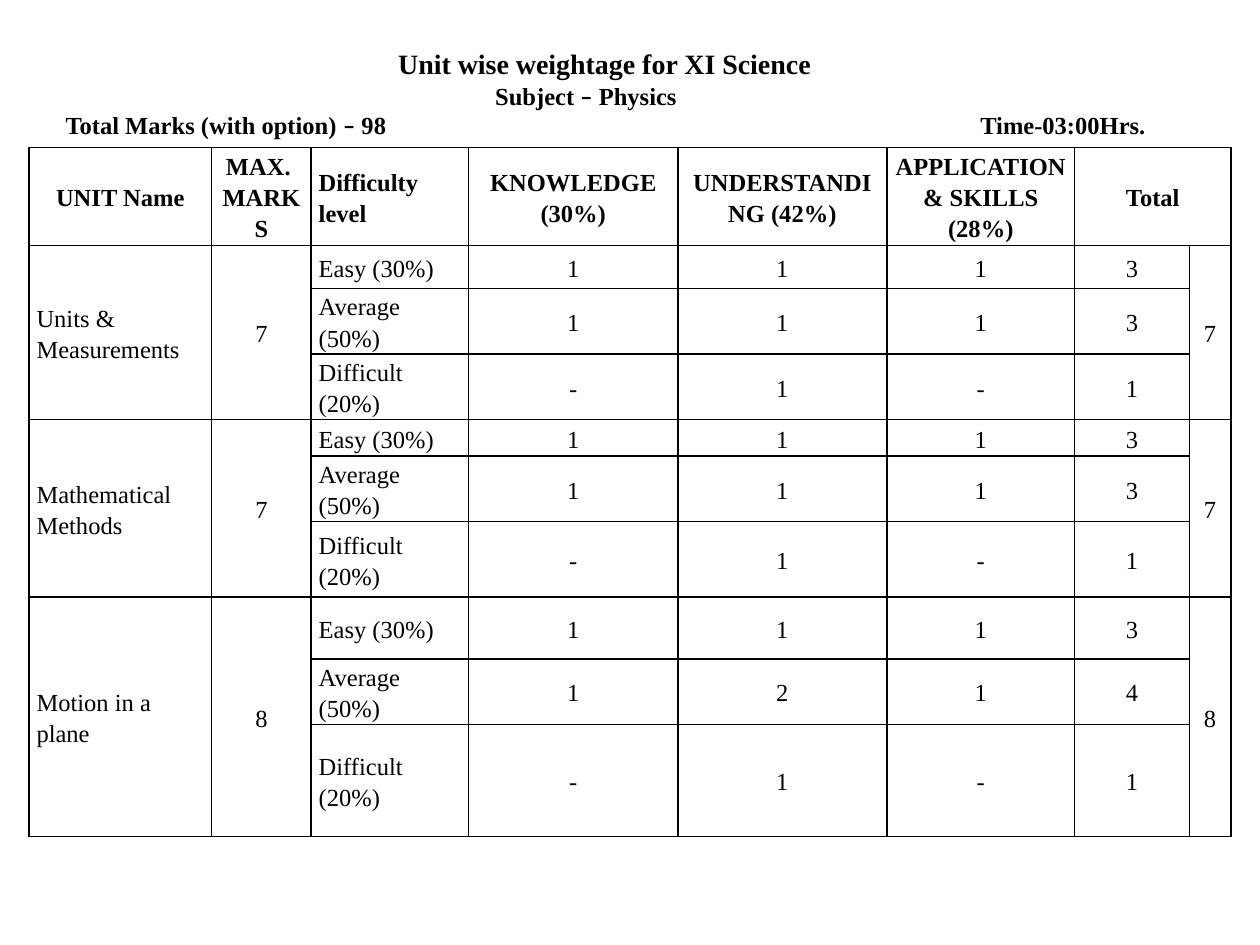
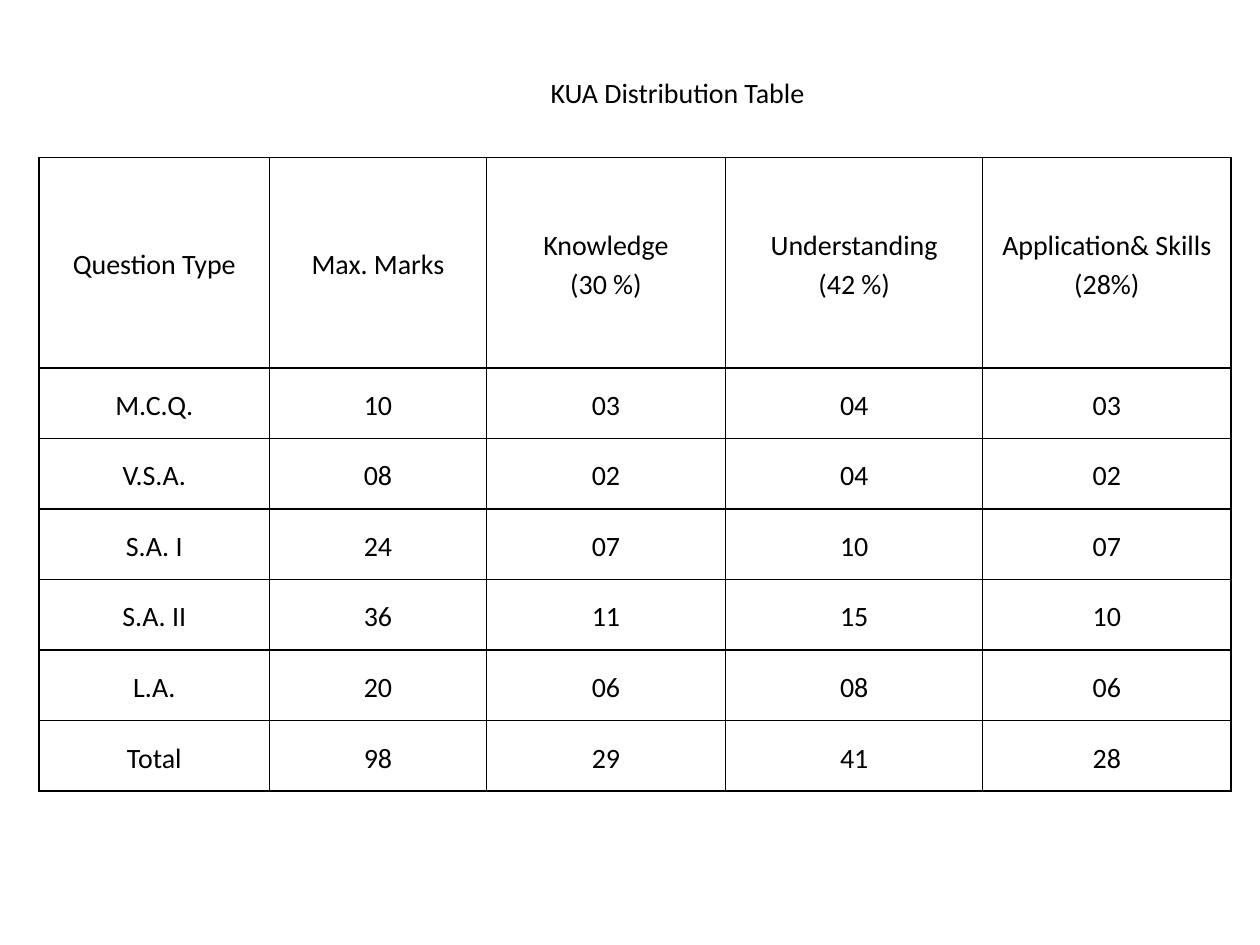
from dataclasses import dataclass
from typing import NamedTuple

from lxml import etree
from pptx import Presentation
from pptx.dml.color import RGBColor
from pptx.enum.text import MSO_ANCHOR, MSO_AUTO_SIZE, PP_ALIGN
from pptx.oxml.ns import qn
from pptx.util import Inches, Pt


@dataclass(frozen=True)
class Theme:
    ink: RGBColor = RGBColor(0, 0, 0)
    ink_hex: str = "000000"
    serif: str = "Times New Roman"
    sans: str = "Calibri"
    small: int = 14
    large: int = 16
    line_spacing: float = 1.15
    border: float = 1


THEME = Theme()


class Span(NamedTuple):
    text: str
    font: str
    size: int
    bold: bool = False


class HeadingLine(NamedTuple):
    spans: list[Span]
    tabs: list[float]  # text starts, in inches from the inner left edge


class Box(NamedTuple):
    left: float
    top: float
    width: float
    height: float


@dataclass
class Grid:
    """A bordered table; merges are (first row, first column, last row, last column)."""
    left: float
    top: float
    columns: list[float]
    rows: list[float]
    cells: list[list[str]]
    font: str
    size: int
    side_margin: float
    bold_header: bool = False
    left_columns: tuple[int, ...] = ()
    merges: tuple[tuple[int, int, int, int], ...] = ()


def add_span(paragraph, span: Span) -> None:
    run = paragraph.add_run()
    run.text = span.text
    run.font.name = span.font
    run.font.size = Pt(span.size)
    run.font.bold = span.bold
    run.font.color.rgb = THEME.ink


def set_tabs(paragraph, tabs: list[float]) -> None:
    tab_list = etree.SubElement(paragraph._p.get_or_add_pPr(), qn("a:tabLst"))
    for position in tabs:
        etree.SubElement(tab_list, qn("a:tab"), pos=str(Inches(position)), algn="l")


def set_heading(slide, box: Box, bottom_margin: float, lines: list[HeadingLine]) -> None:
    title = slide.shapes.title
    title.left, title.top, title.width, title.height = map(Inches, box)
    frame = title.text_frame
    frame.word_wrap = True
    frame.auto_size = MSO_AUTO_SIZE.NONE
    frame.vertical_anchor = MSO_ANCHOR.MIDDLE
    frame.margin_left = frame.margin_right = Inches(0.1)
    frame.margin_top, frame.margin_bottom = Inches(0.05), Inches(bottom_margin)
    for index, line in enumerate(lines):
        paragraph = frame.paragraphs[0] if index == 0 else frame.add_paragraph()
        paragraph.alignment = PP_ALIGN.LEFT
        set_tabs(paragraph, line.tabs)
        for span in line.spans:
            add_span(paragraph, span)


def set_borders(cell) -> None:
    properties = cell._tc.get_or_add_tcPr()
    for index, side in enumerate(("lnL", "lnR", "lnT", "lnB")):
        line = etree.Element(qn(f"a:{side}"), w=str(Pt(THEME.border)))
        fill = etree.SubElement(line, qn("a:solidFill"))
        etree.SubElement(fill, qn("a:srgbClr"), val=THEME.ink_hex)
        properties.insert(index, line)


def add_grid(slide, grid: Grid) -> None:
    table = slide.shapes.add_table(
        len(grid.rows), len(grid.columns), Inches(grid.left), Inches(grid.top),
        Inches(sum(grid.columns)), Inches(sum(grid.rows))).table
    table.first_row = table.horz_banding = False
    for column, width in zip(table.columns, grid.columns):
        column.width = Inches(width)
    for row, height in zip(table.rows, grid.rows):
        row.height = Inches(height)

    for r, texts in enumerate(grid.cells):
        for c, text in enumerate(texts):
            cell = table.cell(r, c)
            cell.fill.background()
            set_borders(cell)
            cell.vertical_anchor = MSO_ANCHOR.MIDDLE
            cell.margin_left = cell.margin_right = Inches(grid.side_margin)
            cell.margin_top = cell.margin_bottom = 0
            if not text:
                continue
            for index, part in enumerate(text.split("\n")):
                frame = cell.text_frame
                paragraph = frame.paragraphs[0] if index == 0 else frame.add_paragraph()
                paragraph.alignment = PP_ALIGN.LEFT if c in grid.left_columns else PP_ALIGN.CENTER
                paragraph.line_spacing = THEME.line_spacing
                add_span(paragraph, Span(part, grid.font, grid.size, grid.bold_header and r == 0))

    for top, left, bottom, right in grid.merges:
        table.cell(top, left).merge(table.cell(bottom, right))


class Unit(NamedTuple):
    name: str
    marks: str
    scores: list[list[str]]  # one row per difficulty: three skills and their total


LEVELS = ["Easy (30%)", "Average (50%)", "Difficult (20%)"]
EVEN, HARD = ["1", "1", "1", "3"], ["-", "1", "-", "1"]
UNITS = [
    Unit("Units & Measurements", "7", [EVEN, EVEN, HARD]),
    Unit("Mathematical Methods", "7", [EVEN, EVEN, HARD]),
    Unit("Motion in a plane", "8", [EVEN, ["1", "2", "1", "4"], HARD]),
]


def unit_rows(unit: Unit) -> list[list[str]]:
    rows = [["", "", level, *scores, ""] for level, scores in zip(LEVELS, unit.scores)]
    rows[0][0], rows[0][1], rows[0][-1] = unit.name, unit.marks, unit.marks
    return rows


def build_weightage(slide) -> None:
    # Heading: two title lines, then marks and time on one line
    def serif(text: str, size: int = THEME.small) -> Span:
        return Span(text, THEME.serif, size, True)

    dash = Span("–", THEME.sans, THEME.small, True)
    set_heading(slide, Box(0.23, 0.31, 9.53, 1.08), 0.27, [
        HeadingLine([serif("\tUnit wise weightage for XI Science", THEME.large)], [2.83]),
        HeadingLine([serif("\tSubject "), dash, serif(" Physics")], [3.6]),
        HeadingLine([serif("\tTotal Marks (with option) "), dash,
                     serif(" 98\tTime-03:00Hrs.")], [0.19, 7.45]),
    ])

    # Units, each spanning its three difficulty rows
    header = ["UNIT Name", "MAX. \nMARKS", "Difficulty level", "KNOWLEDGE (30%)",
              "UNDERSTANDING (42%)", "APPLICATION & SKILLS (28%)", "Total", ""]
    size = len(LEVELS)
    unit_merges = tuple((1 + i * size, c, (i + 1) * size, c)
                        for i in range(len(UNITS)) for c in (0, 1, 7))
    grid = Grid(
        0.23, 1.17,
        columns=[1.45, 0.79, 1.25, 1.66, 1.66, 1.49, 0.91, 0.33],
        rows=[0.78, 0.34, 0.52, 0.52, 0.29, 0.52, 0.6, 0.49, 0.52, 0.89],
        cells=[header] + [row for unit in UNITS for row in unit_rows(unit)],
        font=THEME.serif, size=THEME.small, side_margin=0.06, bold_header=True,
        left_columns=(0, 2), merges=((0, 6, 0, 7), *unit_merges))
    add_grid(slide, grid)
    # The unit heading alone is centred in its left-aligned column
    table = slide.shapes[-1].table
    table.cell(0, 0).text_frame.paragraphs[0].alignment = PP_ALIGN.CENTER


def build_distribution(slide) -> None:
    # Heading
    set_heading(slide, Box(0.31, 0.55, 9.45, 0.67), 0.35, [
        HeadingLine([Span("\tKUA Distribution Table", THEME.sans, THEME.large)], [3.96])])

    # Marks by question type
    cells = [
        ["Question Type", "Max. Marks", "Knowledge\n(30 %)", "Understanding\n(42 %)",
         "Application& Skills\n(28%)"],
        ["M.C.Q.", "10", "03", "04", "03"],
        ["V.S.A.", "08", "02", "04", "02"],
        ["S.A. I", "24", "07", "10", "07"],
        ["S.A. II", "36", "11", "15", "10"],
        ["L.A.", "20", "06", "08", "06"],
        ["Total", "98", "29", "41", "28"],
    ]
    add_grid(slide, Grid(
        0.31, 1.25, columns=[1.83, 1.72, 1.9, 2.04, 1.97],
        rows=[1.67] + [0.56] * (len(cells) - 1), cells=cells,
        font=THEME.sans, size=THEME.large, side_margin=0.07))


def main() -> None:
    deck = Presentation()
    deck.slide_width, deck.slide_height = Inches(10), Inches(7.5)
    title_only = deck.slide_layouts[5]
    for build in (build_weightage, build_distribution):
        build(deck.slides.add_slide(title_only))
    deck.save("out.pptx")


main()
